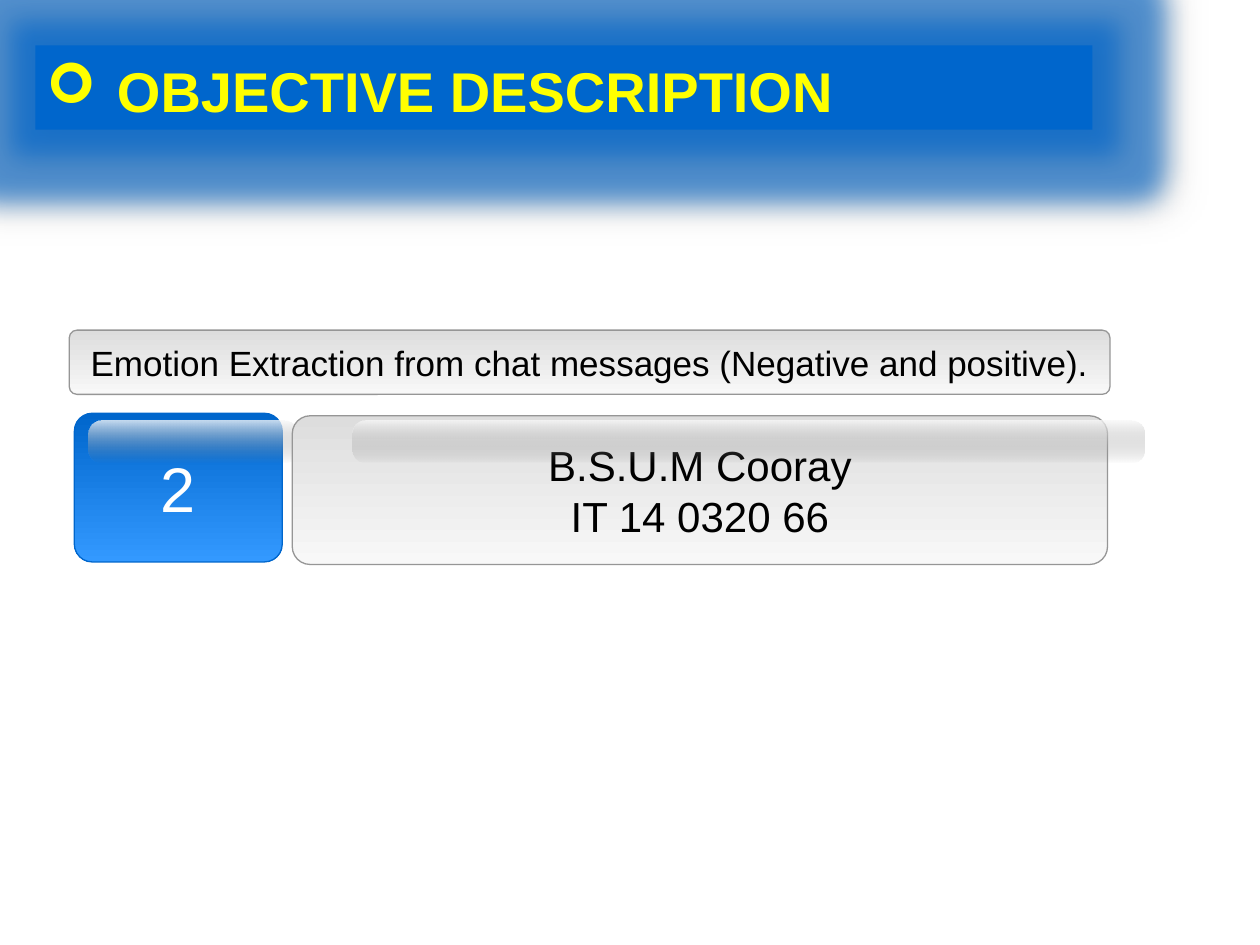
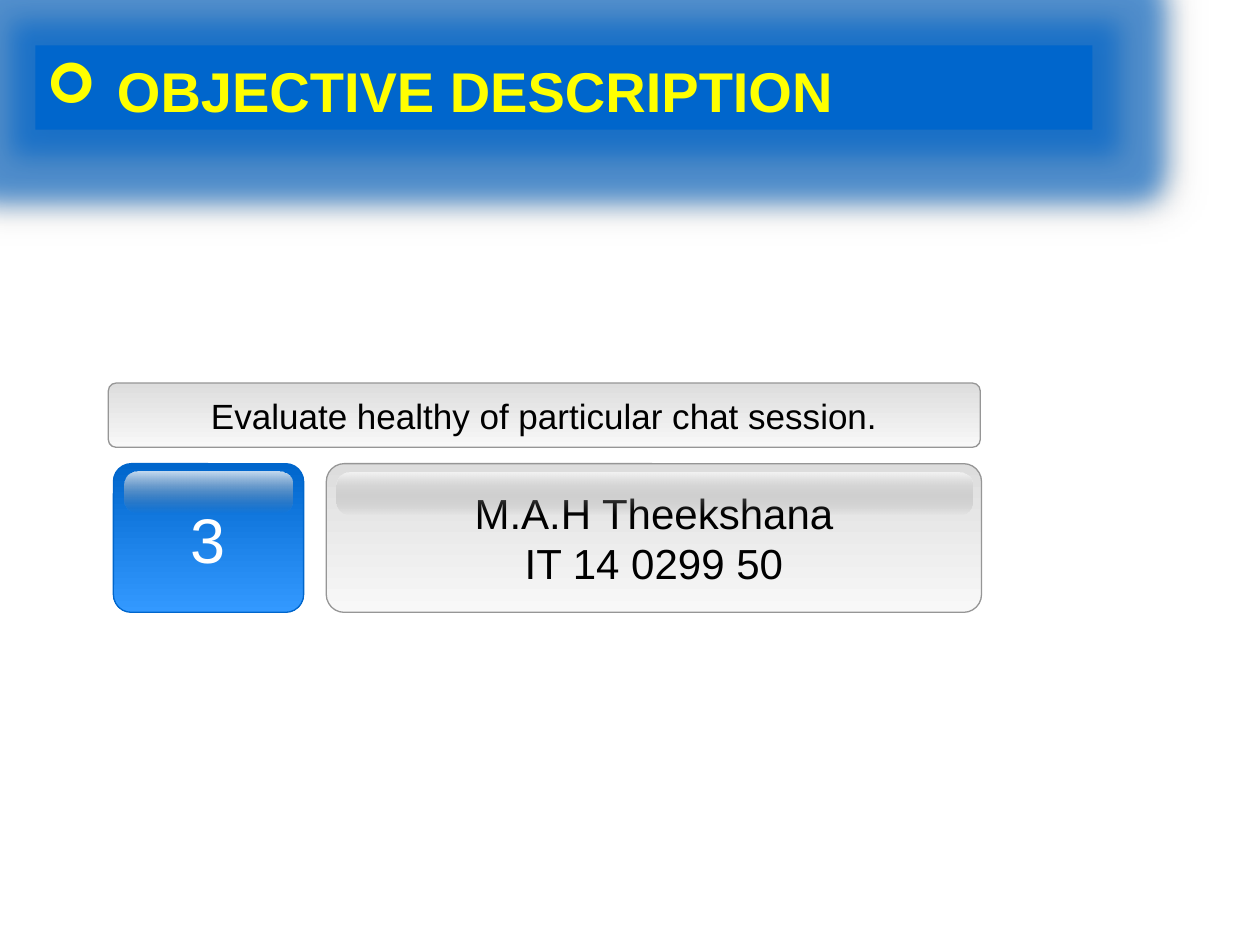
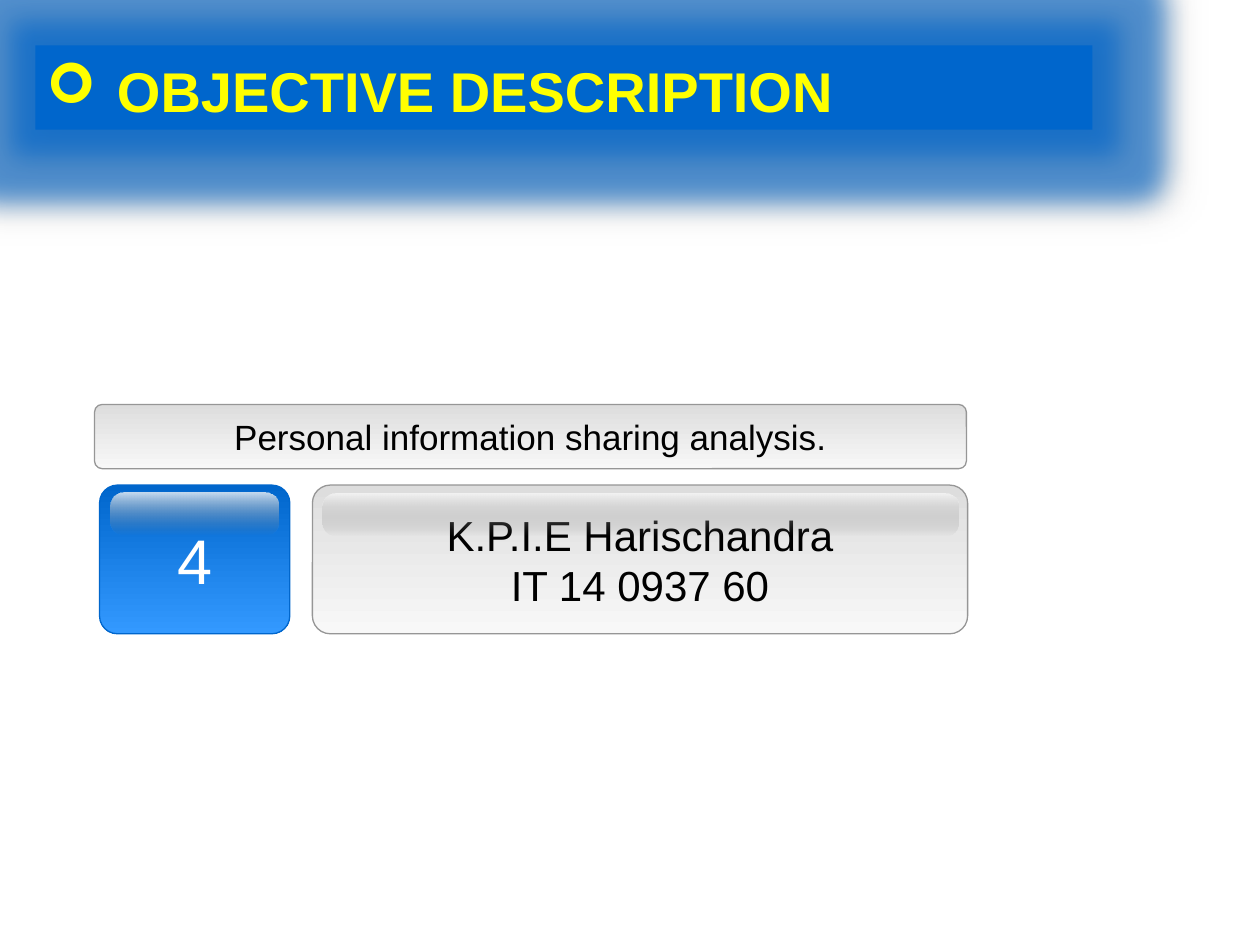
from dataclasses import dataclass

from pptx import Presentation
from pptx.dml.color import RGBColor
from pptx.enum.shapes import MSO_SHAPE as SHAPE
from pptx.enum.text import MSO_ANCHOR as ANCHOR, PP_ALIGN as ALIGN
from pptx.oxml import parse_xml
from pptx.oxml.ns import nsdecls, qn
from pptx.util import Emu, Inches, Pt


@dataclass(frozen=True)
class Theme:
    """Colours, type sizes and corner ratios shared by the slides."""

    font: str = "Arial"
    blue: str = "0066CC"
    light_blue: str = "3399FF"
    silver: str = "DDDDDD"
    pale: str = "F8F8F8"
    grey: str = "969696"
    gloss_end: str = "727272"
    shadow: str = "0D0D0D"
    white: str = "FFFFFF"
    black: str = "000000"
    yellow: str = "FFFF00"
    title_size: int = 32
    badge_size: int = 36
    name_size: int = 24
    caption_size: int = 20
    corner: float = 0.12
    gloss_corner: float = 0.32


@dataclass(frozen=True)
class Objective:
    """One objective, its owner and the boxes of its parts."""

    number: str
    caption: str
    lines: tuple
    origin: tuple
    width: float
    badge: tuple
    badge_gloss: tuple
    name: tuple
    name_gloss: tuple


T = Theme()
PANEL_H, CAPTION_H, GLOSS_H = 1.18, 0.51, 0.33
NARROW = dict(
    width=6.92,
    badge=(0.04, 0.64, 1.51),
    badge_gloss=(0.13, 0.7, 1.33),
    name=(1.73, 0.64, 5.2),
    name_gloss=(1.81, 0.71, 5.05),
)
OBJECTIVES = [
    Objective(
        "2",
        "Emotion Extraction from chat messages (Negative and positive).",
        ("B.S.U.M Cooray", "IT 14 0320 66"),
        (0.55, 2.62),
        width=8.26,
        badge=(0.04, 0.66, 1.65),
        badge_gloss=(0.15, 0.72, 1.66),
        name=(1.77, 0.68, 6.47),
        name_gloss=(2.25, 0.72, 6.28),
    ),
    Objective(
        "3",
        "Evaluate healthy of particular chat session.",
        ("M.A.H Theekshana", "IT 14 0299 50"),
        (0.86, 3.04),
        **NARROW,
    ),
    Objective(
        "4",
        "Personal information sharing analysis.",
        ("K.P.I.E Harischandra", "IT 14 0937 60"),
        (0.75, 3.21),
        **NARROW,
    ),
]


def write(tf, lines, size, color, bold=False, align=ALIGN.CENTER):
    """Write one paragraph for each line in a single format."""
    for i, line in enumerate(lines):
        p = tf.paragraphs[0] if i == 0 else tf.add_paragraph()
        p.alignment = align
        r = p.add_run()
        r.text = line
        for key, value in dict(name=T.font, size=Pt(size), bold=bold).items():
            setattr(r.font, key, value)
        r.font.color.rgb = RGBColor.from_string(color)


def rounded(slide, box, colors, corner=T.corner, line=None, alphas=()):
    """Add a rounded rectangle with a downward gradient."""
    s = slide.shapes.add_shape(SHAPE.ROUNDED_RECTANGLE, *map(Inches, box))
    s.adjustments[0] = corner
    s.shadow.inherit = False
    s.fill.gradient()
    s.fill.gradient_angle = 270
    for stop, color in zip(s.fill.gradient_stops, colors):
        stop.color.rgb = RGBColor.from_string(color)
    stops = s._element.spPr.iter(qn("a:gs"))
    for gs, alpha in zip(stops, alphas):
        gs[0].append(parse_xml(f'<a:alpha {nsdecls("a")} val="{alpha * 1000}"/>'))
    if line:
        s.line.color.rgb = RGBColor.from_string(line)
        s.line.width = Pt(0.75)
    else:
        s.line.fill.background()
    return s


def panel(slide, box, lines, size, colors, line, text_color):
    """Add an outlined panel with centred text."""
    s = rounded(slide, box, colors, line=line)
    tf = s.text_frame
    for key, value in dict(word_wrap=False, vertical_anchor=ANCHOR.MIDDLE).items():
        setattr(tf, key, value)
    write(tf, lines, size, text_color)


def gloss(slide, box):
    """Add a translucent highlight that fades downward."""
    rounded(slide, box, (T.pale, T.gloss_end), T.gloss_corner, alphas=(80, 0))


def title_band(slide, text, box=(0.28, 0.36, 8.39, 0.67)):
    """Add the glowing title band and its bulleted heading."""
    x, y, w, h = box
    s = slide.shapes.add_shape(SHAPE.RECTANGLE, *map(Inches, box))
    s.fill.solid()
    s.fill.fore_color.rgb = RGBColor.from_string(T.blue)
    s.line.fill.background()
    s.shadow.inherit = False
    effects = s._element.spPr.find(qn("a:effectLst"))
    for tag, attrs, color, alpha in (
        ("glow", f'rad="{Pt(28)}"', T.blue, 60),
        ("outerShdw", f'blurRad="{Pt(18)}" dist="{Pt(3)}" dir="2700000"', T.shadow, 40),
    ):
        effects.append(parse_xml(
            f'<a:{tag} {nsdecls("a")} {attrs}><a:srgbClr val="{color}">'
            f'<a:alpha val="{alpha * 1000}"/></a:srgbClr></a:{tag}>'
        ))

    heading = (x - 0.01, y + 0.04, w - 0.27, h - 0.03)
    tf = slide.shapes.add_textbox(*map(Inches, heading)).text_frame
    tf.word_wrap = True
    write(tf, [text], T.title_size, T.yellow, bold=True, align=ALIGN.LEFT)
    pPr = tf.paragraphs[0]._p.get_or_add_pPr()
    indent = Inches(0.56)
    for key, value in dict(marL=indent, indent=Emu(-indent)).items():
        pPr.set(key, str(value))
    for bullet in ('buFont {} typeface="Wingdings"', 'buChar {} char="➢"'):
        pPr.append(parse_xml(f'<a:{bullet.format(nsdecls("a"))}/>'))


def objective_card(slide, item):
    """Place the badge, owner and caption relative to the card origin."""
    x, y = item.origin

    def place(part, height):
        """Return a slide box for a part of the card."""
        dx, dy, width = part
        return x + dx, y + dy, width, height

    silver = ((T.silver, T.pale), T.grey, T.black)
    panel(slide, place(item.badge, PANEL_H), [item.number], T.badge_size,
          (T.blue, T.light_blue), T.blue, T.white)
    gloss(slide, place(item.badge_gloss, GLOSS_H))
    panel(slide, place(item.name, PANEL_H), item.lines, T.name_size, *silver)
    gloss(slide, place(item.name_gloss, GLOSS_H))
    panel(slide, place((0, 0, item.width), CAPTION_H), [item.caption],
          T.caption_size, *silver)


def main():
    """Build and save the objective slides."""
    prs = Presentation()
    prs.slide_width, prs.slide_height = Inches(10), Inches(7.5)
    for item in OBJECTIVES:
        slide = prs.slides.add_slide(prs.slide_layouts[6])
        objective_card(slide, item)
        title_band(slide, "OBJECTIVE DESCRIPTION")
    prs.save("out.pptx")


if __name__ == "__main__":
    main()
